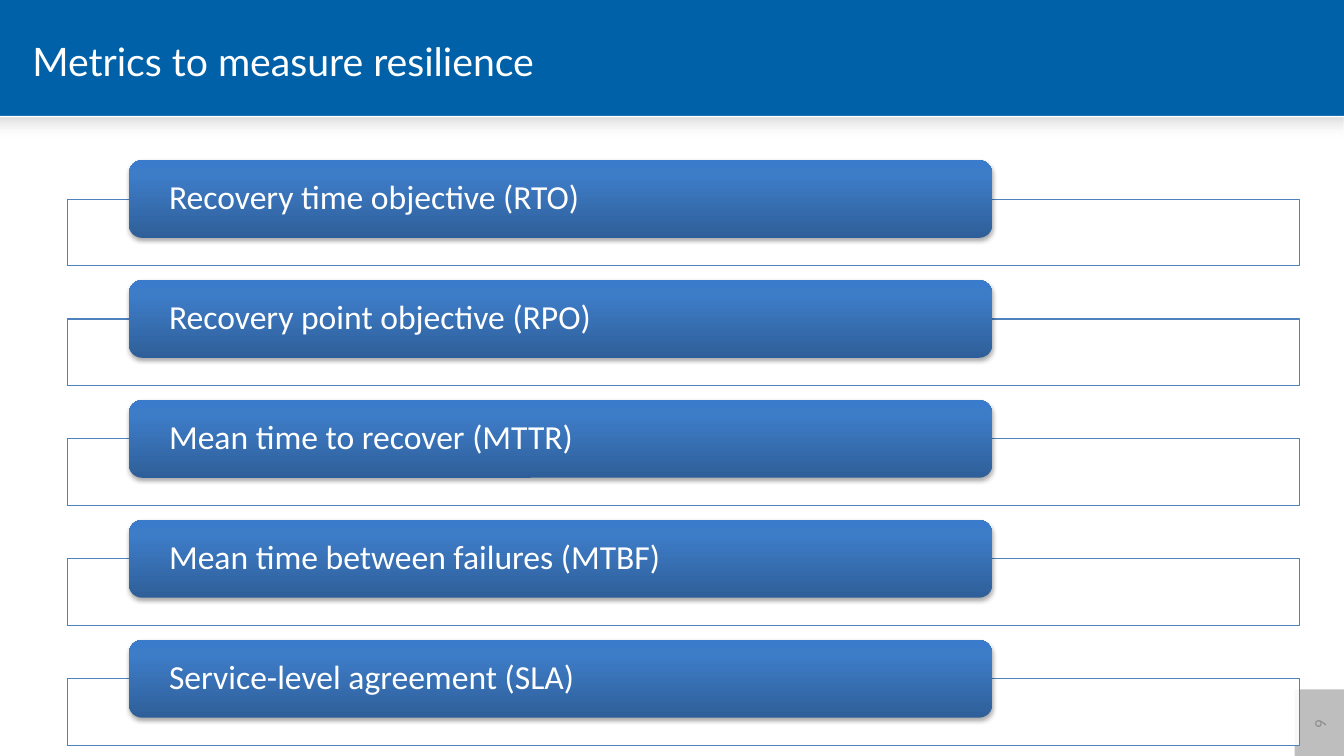
import pptx
import pptx.dml.color
import pptx.enum.shapes
import pptx.enum.text
import pptx.oxml
import pptx.oxml.ns
import pptx.util
from lxml import etree

TITLE = "Metrics to measure resilience"
METRICS = [
    "Recovery time objective (RTO)",
    "Recovery point objective (RPO)",
    "Mean time to recover (MTTR)",
    "Mean time between failures (MTBF)",
    "Service-level agreement (SLA)",
]
PAGE_NUMBER = "9"

COLORS = {
    "header": "0060A8", "white": "FFFFFF", "frame": "4F81BD",
    "tab": "7F7F7F", "number": "8C8C8C",
}
# Gradient stops: position in percent, colour, opacity in percent
BAR_STOPS = [(0, "2F5F99", 100), (80, "3D7CC7", 100), (100, "3A7CCB", 100)]
SHADE_STOPS = [(0, "000000", 13), (48, "E3E3E3", 0), (66, "FFFFFF", 0)]

WIDTH, HEIGHT = 13.33, 7.5
HEADER_HEIGHT = 1.15
ROW_TOP, ROW_PITCH = 1.59, 1.19
BAR_LEFT, BAR_WIDTH, BAR_HEIGHT = 1.28, 8.56, 0.77
FRAME_LEFT, FRAME_WIDTH, FRAME_HEIGHT = 0.67, 12.22, 0.66
TEXT_INSET = 0.36

SHAPES = pptx.enum.shapes.MSO_SHAPE
ALIGN = pptx.enum.text.PP_ALIGN
MIDDLE = pptx.enum.text.MSO_ANCHOR.MIDDLE
NAMESPACE = pptx.oxml.ns.nsdecls("a")
inches = pptx.util.Inches


def rgb(name):
    return pptx.dml.color.RGBColor.from_string(COLORS[name])


def add_block(page, kind, left, top, width, height, fill=None, opacity=100):
    """Add a shape without line or shadow, filled with a plain colour if one is given."""
    block = page.shapes.add_shape(
        kind, inches(left), inches(top), inches(width), inches(height))
    block.shadow.inherit = False
    block.line.fill.background()
    if fill:
        block.fill.solid()
        block.fill.fore_color.rgb = rgb(fill)
        if opacity < 100:
            color = block._element.spPr.find(".//" + pptx.oxml.ns.qn("a:srgbClr"))
            etree.SubElement(color, pptx.oxml.ns.qn("a:alpha"), val=str(opacity * 1000))
    return block


def set_gradient(block, stops, angle):
    marks = "".join(
        f'<a:gs pos="{place * 1000}"><a:srgbClr val="{color}">'
        f'<a:alpha val="{opacity * 1000}"/></a:srgbClr></a:gs>'
        for place, color, opacity in stops)
    gradient = pptx.oxml.parse_xml(
        f'<a:gradFill {NAMESPACE} rotWithShape="1"><a:gsLst>{marks}</a:gsLst>'
        f'<a:lin ang="{angle * 60000}" scaled="0"/></a:gradFill>')
    block._element.spPr.find(pptx.oxml.ns.qn("a:prstGeom")).addnext(gradient)


def add_drop_shadow(block):
    effects = block._element.spPr.find(pptx.oxml.ns.qn("a:effectLst"))
    effects.append(pptx.oxml.parse_xml(
        f'<a:outerShdw {NAMESPACE} blurRad="40000" dist="23000" dir="5400000" '
        'rotWithShape="0"><a:srgbClr val="000000"><a:alpha val="35000"/>'
        '</a:srgbClr></a:outerShdw>'))


def write(shape, text, size, font, color, align):
    frame = shape.text_frame
    frame.text = text
    frame.word_wrap = True
    frame.vertical_anchor = MIDDLE
    para = frame.paragraphs[0]
    para.alignment = align
    span = para.runs[0]
    span.font.size = pptx.util.Pt(size)
    span.font.name = font
    span.font.color.rgb = rgb(color)


def add_metric(page, row, metric):
    top = ROW_TOP + row * ROW_PITCH
    frame = add_block(page, SHAPES.RECTANGLE, FRAME_LEFT, top + BAR_HEIGHT / 2,
                      FRAME_WIDTH, FRAME_HEIGHT, "white", 90)
    frame.line.color.rgb = rgb("frame")
    frame.line.width = pptx.util.Pt(0.75)

    bar = add_block(page, SHAPES.ROUNDED_RECTANGLE, BAR_LEFT, top, BAR_WIDTH, BAR_HEIGHT)
    set_gradient(bar, BAR_STOPS, 270)
    add_drop_shadow(bar)
    write(bar, metric, 24, "Calibri", "white", ALIGN.LEFT)
    text = bar.text_frame
    text.margin_left = text.margin_right = inches(TEXT_INSET)
    text.margin_top = text.margin_bottom = 0
    text.paragraphs[0].line_spacing = 0.9


def main():
    deck = pptx.Presentation()
    deck.slide_width, deck.slide_height = inches(WIDTH), inches(HEIGHT)
    page = deck.slides.add_slide(deck.slide_layouts[5])
    page.background.fill.solid()
    page.background.fill.fore_color.rgb = rgb("header")

    title = page.shapes.title
    title.left, title.top = inches(0.22), inches(0.17)
    title.width, title.height = inches(11.35), inches(0.87)
    write(title, TITLE, 28, "Lato", "white", ALIGN.LEFT)

    add_block(page, SHAPES.RECTANGLE, 0, HEADER_HEIGHT, WIDTH,
              HEIGHT - HEADER_HEIGHT, "white")
    shade = add_block(page, SHAPES.RECTANGLE, 0, HEADER_HEIGHT + 0.02, WIDTH, 0.42)
    set_gradient(shade, SHADE_STOPS, 90)

    tab = add_block(page, SHAPES.RECTANGLE, 12.74, 6.94, 0.69, 0.49, "tab", 50)
    tab.rotation = 270
    write(tab, PAGE_NUMBER, 12, "Calibri", "number", ALIGN.CENTER)

    for row, metric in enumerate(METRICS):
        add_metric(page, row, metric)
    deck.save("out.pptx")


if __name__ == "__main__":
    main()
